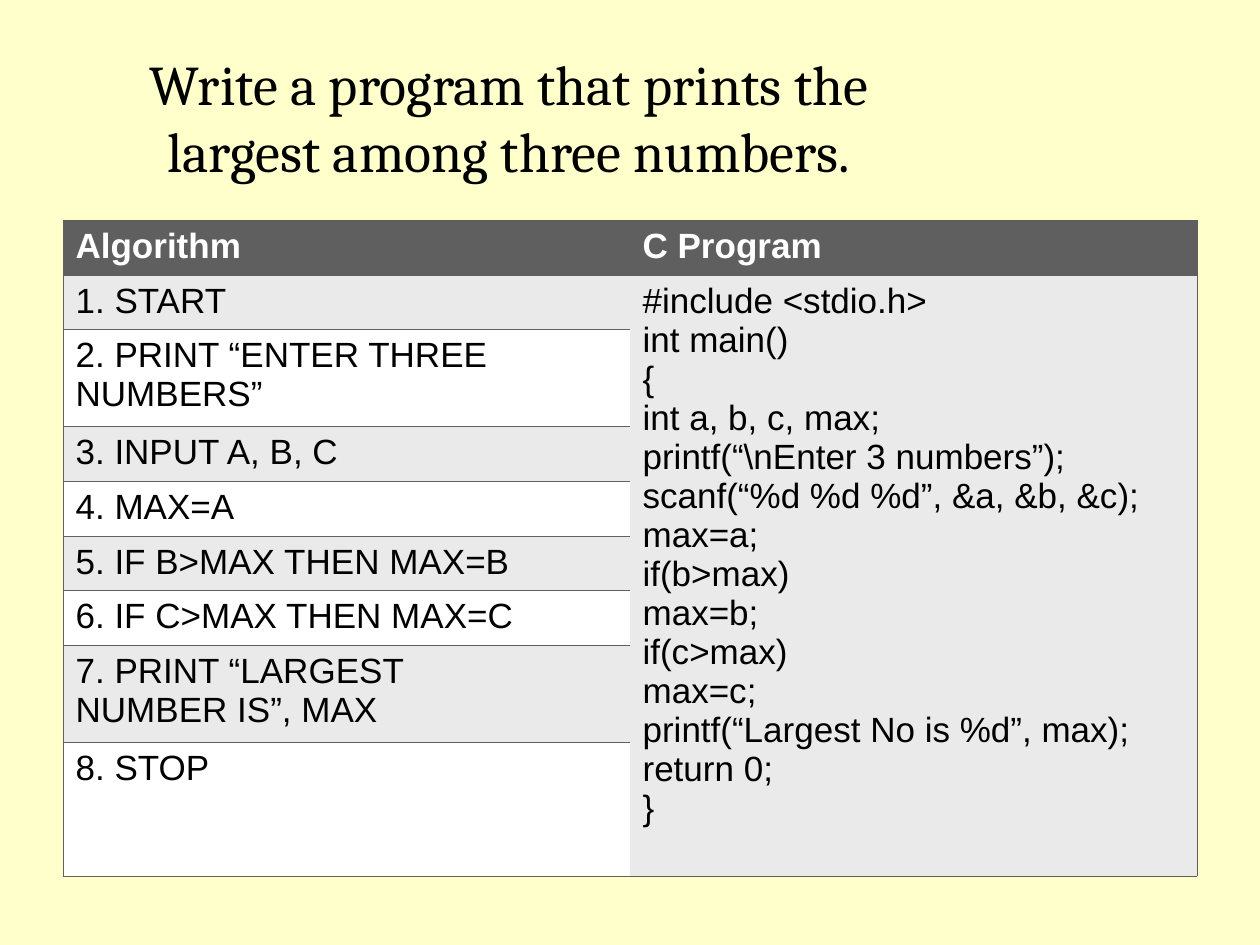
from dataclasses import dataclass

from lxml import etree
from pptx import Presentation, util as u
from pptx.dml import color
from pptx.enum import text
from pptx.oxml import ns


@dataclass(frozen=True)
class Theme:
    """Colours, fonts and sizes of the page."""
    page: str = "FFFFCC"
    header: str = "5F5F5F"
    band: str = "EAEAEA"
    plain: str = "FFFFFF"
    ink: str = "000000"
    title_font: str = "Cambria"
    body_font: str = "Arial"
    title_size: int = 32
    body_size: int = 20
    border: float = 0.45


THEME = Theme()
TITLE = "Write a program that prints the largest among three numbers."
HEADINGS = ["Algorithm", "C Program"]
STEPS = [
    "1. START",
    "2. PRINT “ENTER THREE\nNUMBERS”",
    "3. INPUT A, B, C",
    "4. MAX=A",
    "5. IF B>MAX THEN MAX=B",
    "6. IF C>MAX THEN MAX=C",
    "7. PRINT “LARGEST\nNUMBER IS”, MAX",
    "8. STOP",
]
PROGRAM = r"""#include <stdio.h>
int main()
{
int a, b, c, max;
printf(“\nEnter 3 numbers”);
scanf(“%d %d %d”, &a, &b, &c);
max=a;
if(b>max)
max=b;
if(c>max)
max=c;
printf(“Largest No is %d”, max);
return 0;
}"""
EDGES = [{"L", "T", "B"}, {"R", "T", "B"}]
ROW_HEIGHTS = {1: 0.43, 2: 0.77}
LAST_ROW_HEIGHT = 1.06


def paint(fill, value):
    """Give a fill one solid colour."""
    fill.solid()
    fill.fore_color.rgb = color.RGBColor.from_string(value)


def write(frame, words, ink, **formats):
    """Put words in a text frame and format each paragraph."""
    frame.text = words
    for para in frame.paragraphs:
        for name, value in formats.items():
            setattr(para.font, name, value)
        para.font.color.rgb = color.RGBColor.from_string(ink)


def add_title(page):
    """Add the centred title."""
    box = page.shapes.add_textbox(u.Inches(0.5), u.Inches(0.3), u.Inches(7.08), u.Inches(1.25))
    frame = box.text_frame
    settings = {"word_wrap": True, "vertical_anchor": text.MSO_ANCHOR.MIDDLE}
    for name, value in settings.items():
        setattr(frame, name, value)
    write(frame, TITLE, THEME.ink, name=THEME.title_font, size=u.Pt(THEME.title_size))
    frame.paragraphs[0].alignment = text.PP_ALIGN.CENTER


def outline(cell, edges):
    """Draw the named edges of a cell and clear the others."""
    properties = cell._tc.get_or_add_tcPr()
    for side in "LRTB":
        line = etree.SubElement(properties, ns.qn(f"a:ln{side}"), w=str(u.Pt(THEME.border)))
        if side in edges:
            solid = etree.SubElement(line, ns.qn("a:solidFill"))
            etree.SubElement(solid, ns.qn("a:srgbClr"), val=THEME.header)
        else:
            etree.SubElement(line, ns.qn("a:noFill"))


def fill_cell(cell, words, column, fill, ink, bold):
    """Write, outline and colour one table cell."""
    write(cell.text_frame, words, ink, name=THEME.body_font,
          size=u.Pt(THEME.body_size), bold=bold)
    outline(cell, EDGES[column])
    paint(cell.fill, fill)


def add_comparison(page):
    """Add the table of algorithm steps beside the program."""
    heights = [ROW_HEIGHTS[len(step.split("\n"))] for step in [HEADINGS[0], *STEPS]]
    heights[-1] = LAST_ROW_HEIGHT
    table = page.shapes.add_table(len(heights), 2, u.Inches(0.5), u.Inches(1.75),
                                  u.Inches(9), u.Inches(sum(heights))).table
    table.first_row = table.horz_banding = False
    for row, height in zip(table.rows, heights):
        row.height = u.Inches(height)
    for column, heading in enumerate(HEADINGS):
        fill_cell(table.cell(0, column), heading, column, THEME.header, THEME.plain, True)
    table.cell(1, 1).merge(table.cell(len(STEPS), 1))
    for row, step in enumerate(STEPS, 1):
        band = THEME.band if row % 2 else THEME.plain
        fill_cell(table.cell(row, 0), step, 0, band, THEME.ink, False)
        code = PROGRAM if row == 1 else ""
        fill_cell(table.cell(row, 1), code, 1, THEME.band, THEME.ink, False)


def main():
    """Build and save the deck."""
    deck = Presentation()
    deck.slide_width, deck.slide_height = u.Inches(10), u.Inches(7.5)
    page = deck.slides.add_slide(deck.slide_layouts[6])
    paint(page.background.fill, THEME.page)
    add_title(page)
    add_comparison(page)
    deck.save("out.pptx")


if __name__ == "__main__":
    main()
